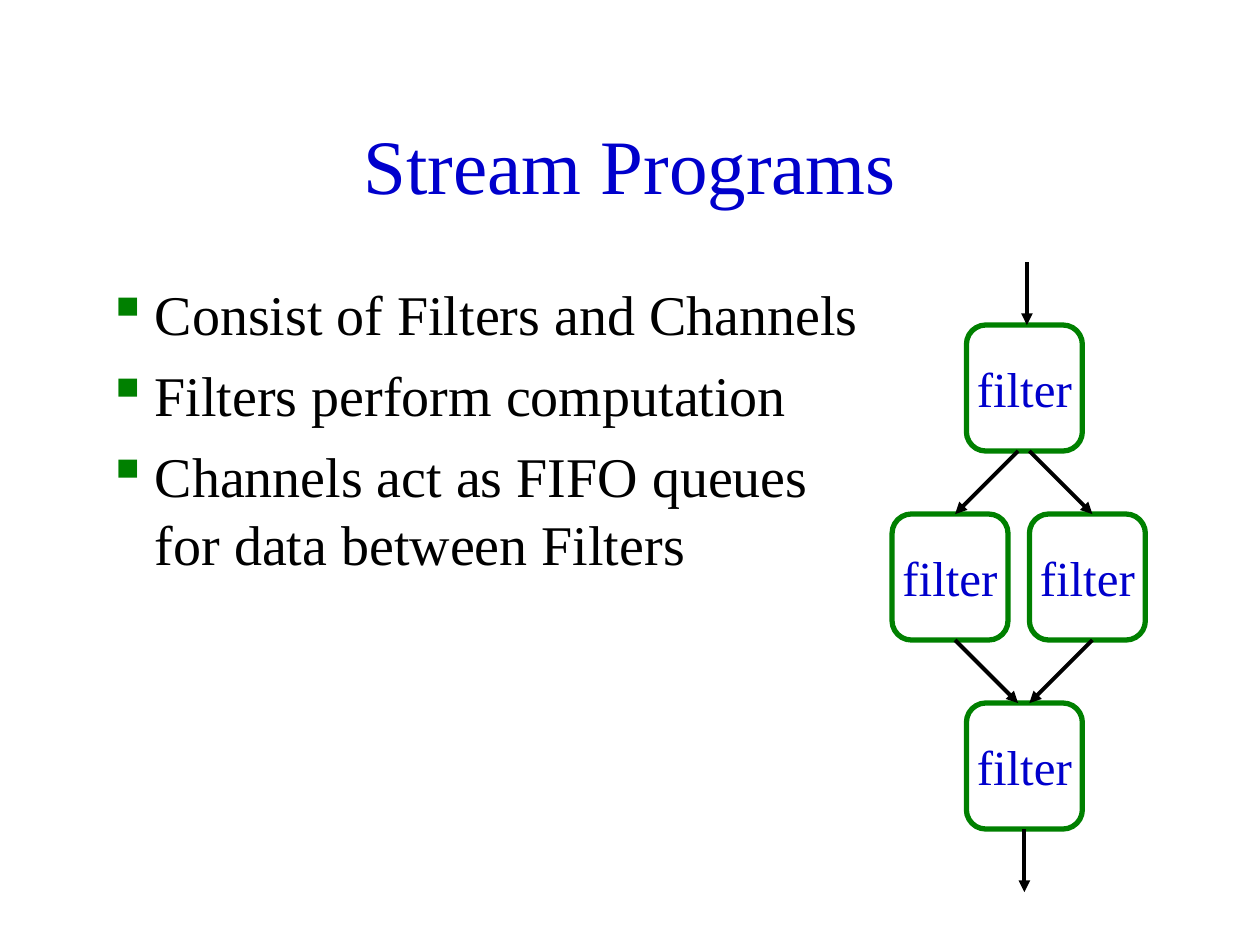
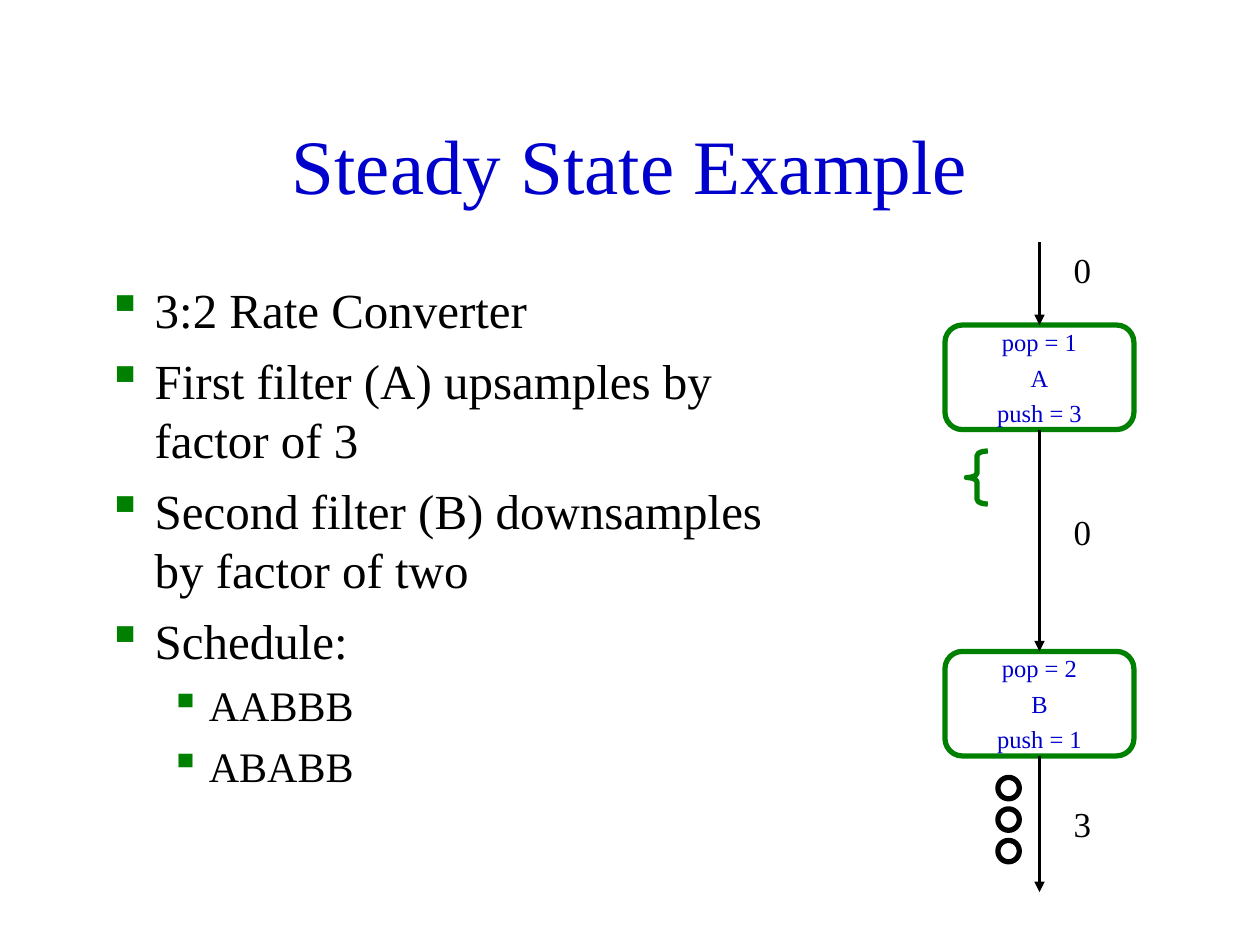
from dataclasses import dataclass
from typing import Optional

from lxml import etree
from pptx import Presentation
from pptx import util as u
from pptx.dml.color import RGBColor
from pptx.enum import shapes, text
from pptx.oxml import ns

COLORS = {"title": "0000CC", "accent": "008000", "body": "000000"}
FONT = "Times New Roman"
TOP, BOTTOM = 0, 2


@dataclass(frozen=True)
class Bullet:
    text: str
    size: int
    level: int = 0


@dataclass(frozen=True)
class FilterBox:
    left: float
    top: float
    width: float
    height: float
    lines: tuple[str, ...]
    size: int


@dataclass(frozen=True)
class Arrow:
    start: tuple[float, float]
    end: tuple[float, float]
    source: Optional[int] = None
    target: Optional[int] = None


@dataclass(frozen=True)
class Label:
    text: str
    top: float


BULLET_INDENTS = ((0.38, -0.38), (0.81, -0.31))

STREAM_BULLETS = (
    Bullet("Consist of Filters and Channels", 32),
    Bullet("Filters perform computation", 32),
    Bullet("Channels act as FIFO queues for data between Filters", 32),
)
STREAM_BOXES = tuple(
    FilterBox(left, top, 0.92, 1, ("filter",), 28)
    for left, top in ((7.67, 2.58), (8.17, 4.08), (7.67, 5.58), (7.08, 4.08))
)
STREAM_ARROWS = (
    Arrow((8.15, 2.08), (8.15, 2.58)),
    Arrow((8.08, 3.58), (7.58, 4.08)),
    Arrow((8.17, 3.58), (8.67, 4.08)),
    Arrow((7.58, 5.08), (8.08, 5.58)),
    Arrow((8.67, 5.08), (8.17, 5.58)),
    Arrow((8.13, 6.58), (8.13, 7.08), source=2),
)

RATE_BULLETS = (
    Bullet("3:2 Rate Converter", 28),
    Bullet("First filter (A) upsamples by factor of 3", 28),
    Bullet("Second filter (B) downsamples by factor of two", 28),
    Bullet("Schedule:", 28),
    Bullet("AABBB", 24, 1),
    Bullet("ABABB", 24, 1),
)
RATE_BOXES = (
    FilterBox(7.5, 2.58, 1.5, 0.83, ("pop = 1", "A", "push = 3"), 14),
    FilterBox(7.5, 5.17, 1.5, 0.83, ("pop = 2", "B", "push = 1"), 14),
)
RATE_ARROWS = (
    Arrow((8.25, 1.92), (8.25, 2.58), target=0),
    Arrow((8.25, 3.42), (8.25, 5.17), source=0, target=1),
    Arrow((8.25, 6), (8.25, 7.08), source=1),
)
QUEUE_COUNTS = (Label("0", 1.92), Label("0", 4), Label("3", 6.32))


def rgb(name: str) -> RGBColor:
    return RGBColor.from_string(COLORS[name])


def style_paragraph(paragraph, size: int, color: str, before: float = 0, align=None) -> None:
    paragraph.alignment = align
    paragraph.space_before = u.Pt(before)
    for run in paragraph.runs:
        run.font.name = FONT
        run.font.size = u.Pt(size)
        run.font.color.rgb = rgb(color)


def add_text_box(slide, left: float, top: float, width: float, height: float, wrap: bool = True):
    box = slide.shapes.add_textbox(*map(u.Inches, (left, top, width, height)))
    box.text_frame.word_wrap = wrap
    return box.text_frame


def add_title(slide, title: str) -> None:
    frame = add_text_box(slide, 0.75, 0.67, 8.5, 1.25)
    frame.vertical_anchor = text.MSO_ANCHOR.MIDDLE
    frame.text = title
    style_paragraph(frame.paragraphs[0], 44, "title", align=text.PP_ALIGN.CENTER)


def add_bullet_mark(paragraph, level: int) -> None:
    margin, indent = BULLET_INDENTS[level]
    properties = paragraph._p.get_or_add_pPr()
    properties.set("marL", str(u.Inches(margin)))
    properties.set("indent", str(u.Inches(indent)))
    color = etree.SubElement(properties, ns.qn("a:buClr"))
    etree.SubElement(color, ns.qn("a:srgbClr"), val=COLORS["accent"])
    etree.SubElement(properties, ns.qn("a:buChar"), char="▪")


def add_bullets(slide, bullets: tuple[Bullet, ...], width: float) -> None:
    frame = add_text_box(slide, 0.75, 2.17, width, 4.5)
    frame.text = "\n".join(bullet.text for bullet in bullets)
    for paragraph, bullet in zip(frame.paragraphs, bullets):
        paragraph.level = bullet.level
        style_paragraph(paragraph, bullet.size, "body", bullet.size / 4)
        add_bullet_mark(paragraph, bullet.level)


def add_outline(slide, kind, left: float, top: float, width: float, height: float, color: str):
    shape = slide.shapes.add_shape(kind, *map(u.Inches, (left, top, width, height)))
    shape.shadow.inherit = False
    shape.fill.background()
    shape.line.color.rgb = rgb(color)
    shape.line.width = u.Pt(3)
    return shape


def add_filter(slide, box: FilterBox):
    shape = add_outline(slide, shapes.MSO_SHAPE.ROUNDED_RECTANGLE,
                        box.left, box.top, box.width, box.height, "accent")
    frame = shape.text_frame
    frame.word_wrap = False
    frame.vertical_anchor = text.MSO_ANCHOR.MIDDLE
    frame.text = "\n".join(box.lines)
    for paragraph in frame.paragraphs:
        style_paragraph(paragraph, box.size, "title", box.size / 4, text.PP_ALIGN.CENTER)
    return shape


def add_arrow(slide, arrow: Arrow, filters: list, weight: float) -> None:
    connector = slide.shapes.add_connector(
        shapes.MSO_CONNECTOR.STRAIGHT, *map(u.Inches, arrow.start + arrow.end))
    if arrow.source is not None:
        connector.begin_connect(filters[arrow.source], BOTTOM)
    if arrow.target is not None:
        connector.end_connect(filters[arrow.target], TOP)
    connector.line.color.rgb = rgb("body")
    connector.line.width = u.Pt(weight)
    etree.SubElement(connector.line._get_or_add_ln(), ns.qn("a:tailEnd"), type="triangle")
    etree.SubElement(connector._element.spPr, ns.qn("a:effectLst"))


def add_graph(slide, boxes: tuple[FilterBox, ...], arrows: tuple[Arrow, ...], weight: float) -> None:
    filters = [add_filter(slide, box) for box in boxes]
    for arrow in arrows:
        add_arrow(slide, arrow, filters, weight)


def add_count(slide, label: Label) -> None:
    frame = add_text_box(slide, 8.42, label.top, 0.34, 0.44, wrap=False)
    frame.auto_size = text.MSO_AUTO_SIZE.SHAPE_TO_FIT_TEXT
    frame.text = label.text
    style_paragraph(frame.paragraphs[0], 20, "body", 5, text.PP_ALIGN.CENTER)


def add_slide(presentation, title: str, bullets: tuple[Bullet, ...], width: float):
    slide = presentation.slides.add_slide(presentation.slide_layouts[6])
    add_title(slide, title)
    add_bullets(slide, bullets, width)
    return slide


def build_stream_programs(presentation) -> None:
    slide = add_slide(presentation, "Stream Programs", STREAM_BULLETS, 6.33)
    add_graph(slide, STREAM_BOXES, STREAM_ARROWS, 2.25)


def build_steady_state(presentation) -> None:
    slide = add_slide(presentation, "Steady State Example", RATE_BULLETS, 5.83)
    add_graph(slide, RATE_BOXES, RATE_ARROWS, 1.5)
    for label in QUEUE_COUNTS:
        add_count(slide, label)
    brace = add_outline(slide, shapes.MSO_SHAPE.LEFT_BRACE, 7.67, 3.58, 0.17, 0.42, "accent")
    brace.adjustments[0] = 0.21
    for index in range(3):
        add_outline(slide, shapes.MSO_SHAPE.OVAL, 7.92, 6.17 + 0.25 * index, 0.17, 0.17, "body")


def main() -> None:
    presentation = Presentation()
    presentation.slide_width = u.Inches(10)
    presentation.slide_height = u.Inches(7.5)
    build_stream_programs(presentation)
    build_steady_state(presentation)
    presentation.save("out.pptx")


if __name__ == "__main__":
    main()
